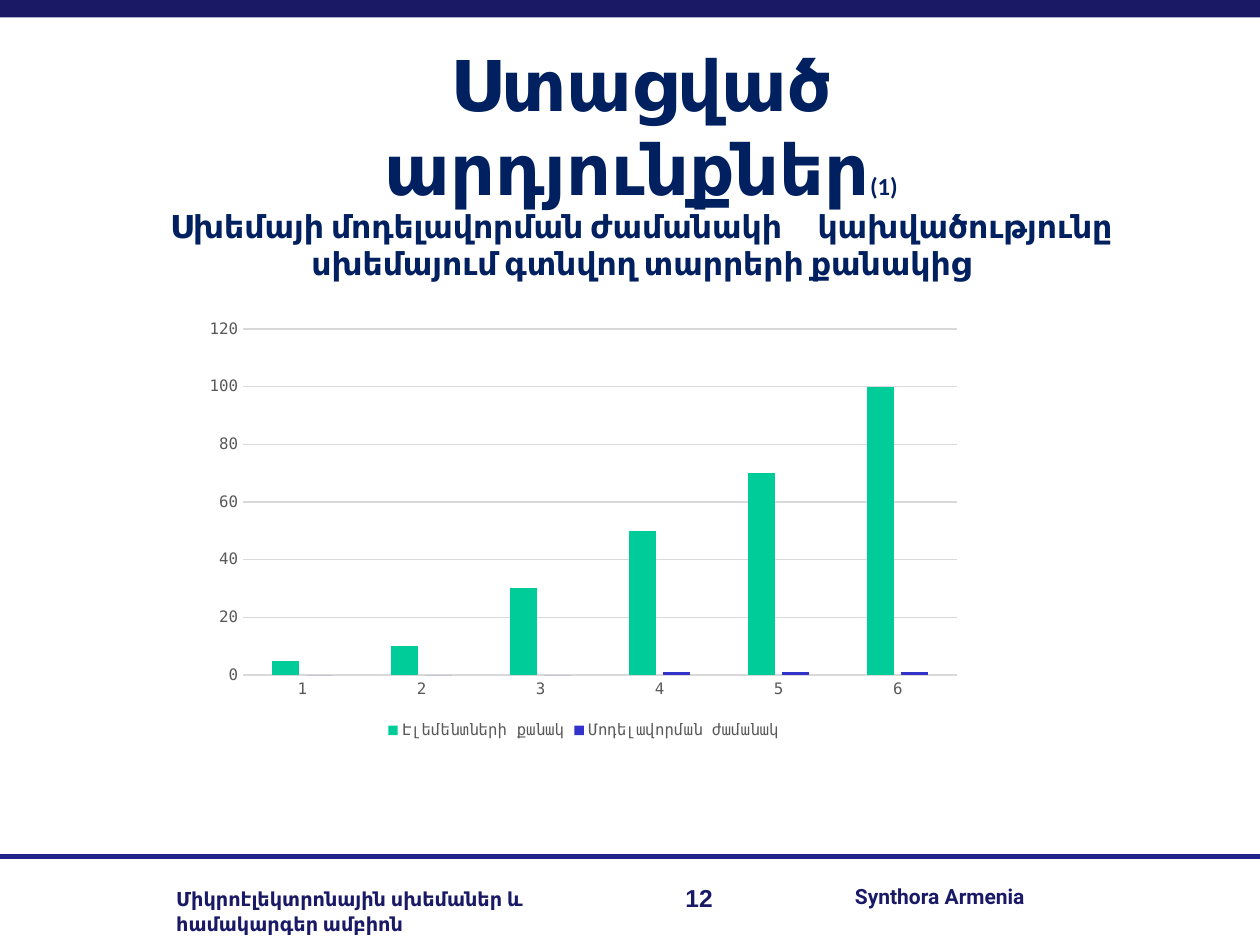
from dataclasses import dataclass

from pptx import Presentation
from pptx.chart.data import CategoryChartData
from pptx.dml.color import RGBColor
from pptx.enum.chart import XL_CHART_TYPE, XL_LEGEND_POSITION, XL_TICK_MARK
from pptx.enum.shapes import MSO_CONNECTOR, MSO_SHAPE
from pptx.enum.text import PP_ALIGN
from pptx.oxml.ns import qn
from pptx.util import Pt
from lxml import etree

LEFT, MID, RIGHT = PP_ALIGN.LEFT, PP_ALIGN.CENTER, PP_ALIGN.RIGHT
COLUMNS = XL_CHART_TYPE.COLUMN_CLUSTERED
BOTTOM = XL_LEGEND_POSITION.BOTTOM
NO_TICK = XL_TICK_MARK.NONE
RECT, STRAIGHT = MSO_SHAPE.RECTANGLE, MSO_CONNECTOR.STRAIGHT


@dataclass(frozen=True)
class Theme:
    band: str = "191966"
    rule: str = "22228B"
    head: str = "002060"
    label: str = "595959"
    grid: str = "D9D9D9"
    count: str = "00CC99"
    time: str = "3333CC"
    body: str = "Calibri"
    foot: str = "Roboto"
    digit: str = "Arial"
    mono: str = "DejaVu Sans Mono"
    title: float = 40
    lead: float = 18
    note: float = 14
    maker: float = 12
    chair: float = 11
    tick: float = 9


@dataclass(frozen=True)
class Run:
    text: str
    size: float
    track: float = 0  # extra width after each letter, in points


@dataclass(frozen=True)
class Box:
    x: float
    y: float
    w: float
    h: float

    def place(self) -> tuple:
        return Pt(self.x), Pt(self.y), Pt(self.w), Pt(self.h)


@dataclass(frozen=True)
class Series:
    name: str
    vals: tuple
    color: str


THEME = Theme()
WIDE, HIGH = 720, 540


def rgb(code: str) -> RGBColor:
    return RGBColor.from_string(code)


def add_text(slide, box: Box, runs: list, *, font: str, color: str,
             align=LEFT, space: float = 1, before: float = 0) -> None:
    frame = slide.shapes.add_textbox(*box.place()).text_frame
    frame.word_wrap = True
    para = frame.paragraphs[0]
    para.alignment, para.line_spacing = align, space
    para.space_before = Pt(before)
    for item in runs:
        run = para.add_run()
        run.text = item.text
        face = run.font
        face.name, face.size, face.bold = font, Pt(item.size), True
        face.color.rgb = rgb(color)
        if item.track:
            face._element.set("spc", str(round(item.track * 100)))


def add_band(slide, box: Box, color: str) -> None:
    band = slide.shapes.add_shape(RECT, *box.place())
    band.shadow.inherit = False
    band.fill.solid()
    band.fill.fore_color.rgb = rgb(color)
    band.line.fill.background()


def add_rule(slide, y: float, color: str, width: float) -> None:
    rule = slide.shapes.add_connector(STRAIGHT, 0, Pt(y), Pt(WIDE), Pt(y))
    rule.line.color.rgb = rgb(color)
    rule.line.width = Pt(width)
    etree.SubElement(rule._element.spPr, qn("a:effectLst"))


def style_font(font) -> None:
    font.name, font.size = THEME.mono, Pt(THEME.tick)
    font.color.rgb = rgb(THEME.label)


def style_line(line) -> None:
    line.color.rgb = rgb(THEME.grid)
    line.width = Pt(0.75)


def add_bars(slide, box: Box, names: list, rows: list) -> None:
    data = CategoryChartData()
    data.categories = names
    for row in rows:
        data.add_series(row.name, row.vals)
    chart = slide.shapes.add_chart(COLUMNS, *box.place(), data).chart
    style_font(chart.font)
    chart.has_title = False

    # Legend
    chart.has_legend = True
    chart.legend.position = BOTTOM
    chart.legend.include_in_layout = False
    style_font(chart.legend.font)

    # Axes
    for axis in (chart.category_axis, chart.value_axis):
        axis.major_tick_mark = axis.minor_tick_mark = NO_TICK
        style_font(axis.tick_labels.font)
    style_line(chart.category_axis.format.line)
    chart.value_axis.format.line.fill.background()
    chart.value_axis.has_major_gridlines = True
    style_line(chart.value_axis.major_gridlines.format.line)

    # Bars
    plot = chart.plots[0]
    plot.vary_by_categories = False
    plot.gap_width, plot.overlap = 219, -27
    for bars, row in zip(plot.series, rows):
        bars.format.fill.solid()
        bars.format.fill.fore_color.rgb = rgb(row.color)


def main() -> None:
    deck = Presentation()
    deck.slide_width, deck.slide_height = Pt(WIDE), Pt(HIGH)
    slide = deck.slides.add_slide(deck.slide_layouts[6])

    # Frame and footer
    add_band(slide, Box(0, 0, WIDE, 10), THEME.band)
    add_rule(slide, 489.6, THEME.rule, 3)
    add_text(slide, Box(445, 500, 147.6, 24), [Run("Synthora Armenia", THEME.maker)],
             font=THEME.foot, color=THEME.band, align=RIGHT, space=1.08, before=5.6)
    add_text(slide, Box(93.6, 502.6, 272, 36),
             [Run("Միկրոէլեկտրոնային սխեմաներ և համակարգեր ամբիոն", THEME.chair)],
             font=THEME.foot, color=THEME.band, space=1.08, before=5.6)
    add_text(slide, Box(370.8, 502.6, 43.6, 22), [Run("12", THEME.note)],
             font=THEME.digit, color=THEME.band, align=RIGHT, space=0.93)

    # Headings
    add_text(slide, Box(134.6, 20, 463.7, 55.4),
             [Run("Ստացված արդյունքներ", THEME.title), Run("(1)", THEME.note)],
             font=THEME.body, color=THEME.head, align=MID)
    add_text(slide, Box(82.8, 114.5, 567.4, 51),
             [Run("Սխեմայի մոդելավորման ժամանակի", THEME.lead),
              Run(" ", THEME.lead, track=16),
              Run("կախվածությունը սխեմայում գտնվող տարրերի քանակից", THEME.lead)],
             font=THEME.body, color=THEME.head, align=MID)

    # Chart
    add_bars(slide, Box(110.9, 177.8, 445, 247.7), [str(n) for n in range(1, 7)],
             [Series("Էլեմենտների քանակ", (5, 10, 30, 50, 70, 100), THEME.count),
              Series("Մոդելավորման ժամանակ", (0, 0, 0, 1, 1, 1), THEME.time)])

    deck.save("out.pptx")


if __name__ == "__main__":
    main()
